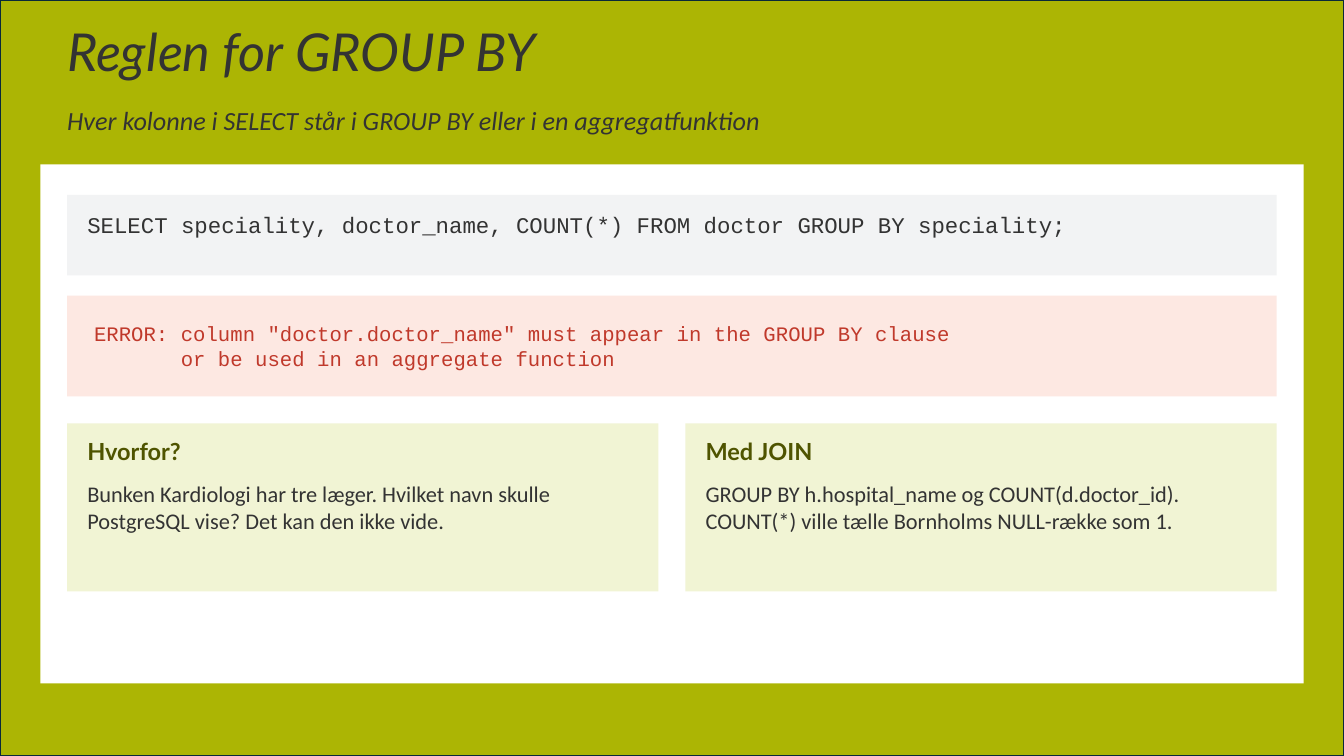
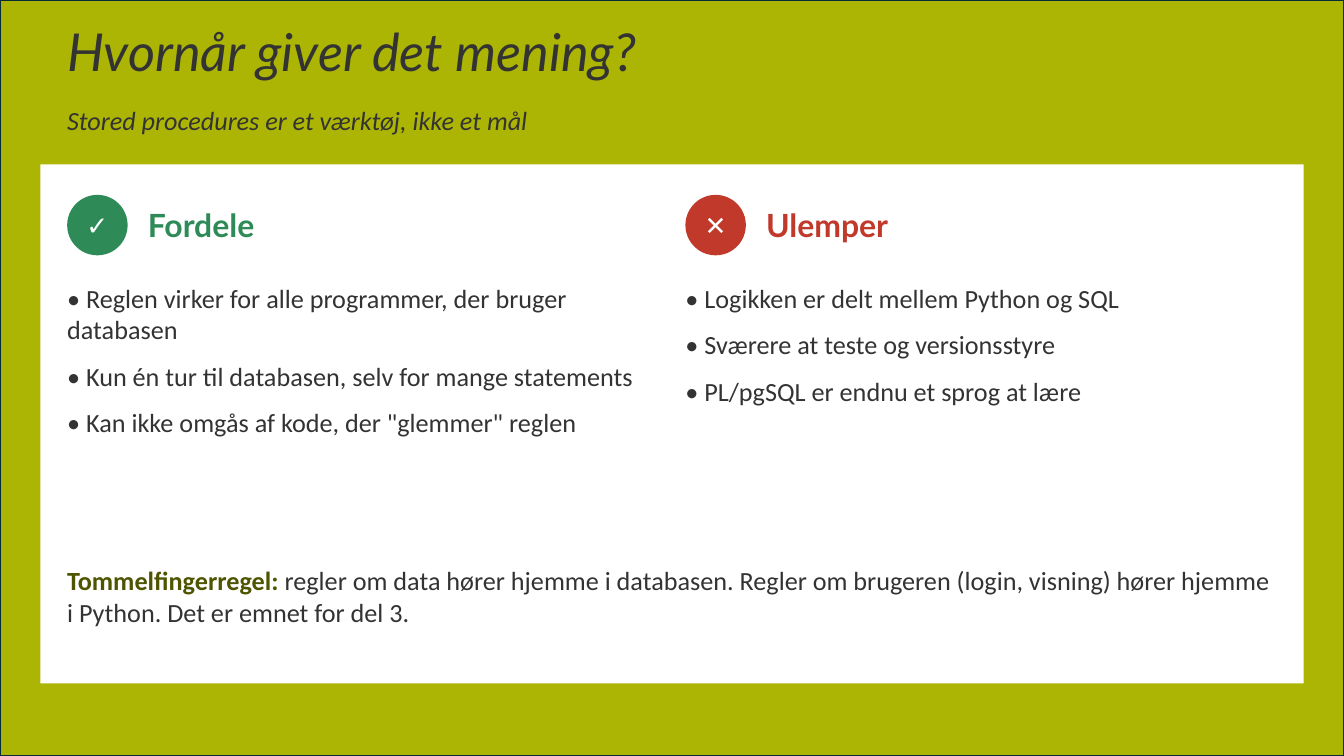
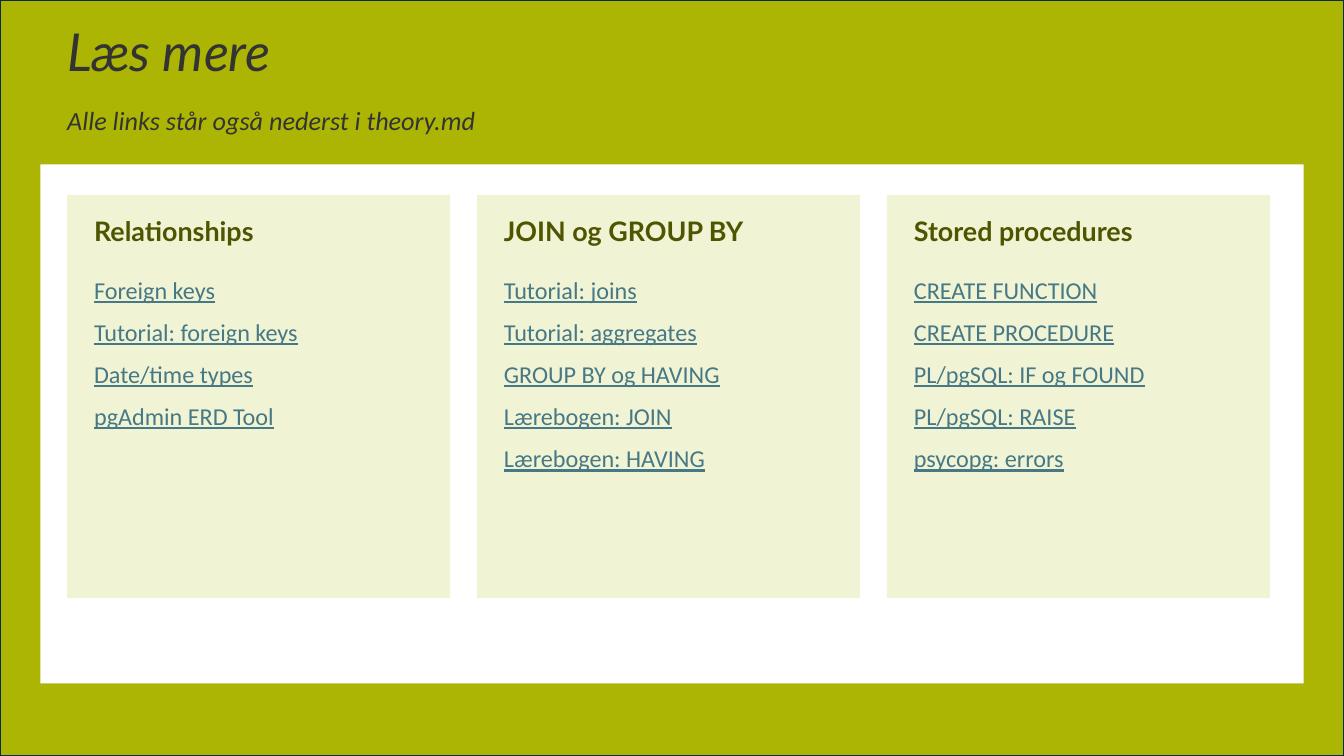
from lxml import etree
from pptx import Presentation
from pptx.dml.color import RGBColor
from pptx.enum.shapes import MSO_SHAPE
from pptx.enum.text import MSO_ANCHOR, MSO_AUTO_SIZE, PP_ALIGN
from pptx.oxml.ns import qn
from pptx.util import Pt

RECTANGLE, OVAL = MSO_SHAPE.RECTANGLE, MSO_SHAPE.OVAL
TOP, MIDDLE = MSO_ANCHOR.TOP, MSO_ANCHOR.MIDDLE
LEFT, CENTER = PP_ALIGN.LEFT, PP_ALIGN.CENTER
NO_AUTOFIT = MSO_AUTO_SIZE.NONE

# Colours
LIME = RGBColor(0xAC, 0xB5, 0x04)
NAVY = RGBColor(0x09, 0x2A, 0x39)
WHITE = RGBColor(0xFF, 0xFF, 0xFF)
INK = RGBColor(0x33, 0x33, 0x33)
OLIVE = RGBColor(0x4F, 0x54, 0x00)
CARD_FILL = RGBColor(0xF1, 0xF4, 0xD4)
CODE_FILL = RGBColor(0xF2, 0xF3, 0xF4)
ERROR_FILL = RGBColor(0xFD, 0xE8, 0xE2)
GREEN = RGBColor(0x2E, 0x8B, 0x57)
RED = RGBColor(0xC0, 0x39, 0x2B)
LINK_BLUE = RGBColor(0x46, 0x78, 0x86)

# Fonts and grid, in points
HEADING_FONT, BODY_FONT, CODE_FONT = "Lato", "Calibri", "Courier New"
BODY_SIZE = 18.7
SLIDE_WIDTH, SLIDE_HEIGHT = 960, 540
MARGIN, CONTENT_TOP, CONTENT_WIDTH, GAP = 48, 139.2, 864, 19.2
HALF_WIDTH = (CONTENT_WIDTH - GAP) / 2
TITLE_ONLY, TWO_CONTENT = 5, 3


def column_left(index, width):
    return MARGIN + index * (width + GAP)


def place(shape, left, top, width, height):
    shape.left, shape.top = Pt(left), Pt(top)
    shape.width, shape.height = Pt(width), Pt(height)


def style_paragraph(paragraph, size, color, font=BODY_FONT, bold=False,
                    italic=False, underline=False, align=LEFT, after=0):
    paragraph.alignment = align
    paragraph.space_before, paragraph.space_after = Pt(0), Pt(after)
    paragraph.font.name, paragraph.font.size = font, Pt(size)
    paragraph.font.color.rgb = color
    paragraph.font.bold, paragraph.font.italic = bold, italic
    paragraph.font.underline = underline


def write(shape, lines, size, color, anchor=TOP, insets=(0, 0), plain=False, **style):
    """Fill a shape with one paragraph per line; plain removes inherited bullets."""
    frame = shape.text_frame
    frame.word_wrap, frame.auto_size = True, NO_AUTOFIT
    frame.vertical_anchor = anchor
    frame.margin_left = frame.margin_right = Pt(insets[0])
    frame.margin_top = frame.margin_bottom = Pt(insets[1])
    for index, line in enumerate(lines):
        paragraph = frame.add_paragraph() if index else frame.paragraphs[0]
        paragraph.add_run().text = line
        if plain:
            properties = paragraph._p.get_or_add_pPr()
            properties.set("marL", "0")
            properties.set("indent", "0")
            etree.SubElement(properties, qn("a:buNone"))
        style_paragraph(paragraph, size, color, **style)


def add_text(slide, box, lines, size, color, **style):
    shape = slide.shapes.add_textbox(*map(Pt, box))
    write(shape, lines, size, color, **style)
    return shape


def add_block(slide, box, fill, kind=RECTANGLE, line=None):
    shape = slide.shapes.add_shape(kind, *map(Pt, box))
    shape.shadow.inherit = False
    shape.fill.solid()
    shape.fill.fore_color.rgb = fill
    if line is None:
        shape.line.fill.background()
    else:
        shape.line.color.rgb, shape.line.width = line, Pt(1.5)
    return shape


def add_card(slide, box, heading, heading_size, inset, heading_offset):
    """Draw a tinted card and its heading; return the text column."""
    left, top, width, height = box
    add_block(slide, box, CARD_FILL)
    text_left, text_width = left + inset, width - 2 * inset
    add_text(slide, (text_left, top + heading_offset, text_width, 30), [heading],
             heading_size, OLIVE, font=HEADING_FONT, bold=True)
    return text_left, text_width


def add_master_frame(presentation, slide):
    """Move the coloured frame and white panel behind everything, on the master."""
    frame = add_block(slide, (0, 0, SLIDE_WIDTH, SLIDE_HEIGHT), LIME, line=NAVY)
    panel = add_block(slide, (28.8, 117.4, 902.4, 370.8), WHITE)
    tree = presentation.slide_master.shapes.element
    for offset, shape in enumerate((frame, panel)):
        shape.element.nvSpPr.cNvPr.set("id", str(101 + offset))
        tree.insert(2 + offset, shape.element)


def start_slide(presentation, layout, title, subtitle):
    slide = presentation.slides.add_slide(presentation.slide_layouts[layout])
    place(slide.shapes.title, MARGIN, 19.2, CONTENT_WIDTH, 52.8)
    write(slide.shapes.title, [title], 37.3, INK, font=HEADING_FONT, italic=True)
    slide.shapes.title.text_frame.paragraphs[0].line_spacing = 0.9
    add_text(slide, (MARGIN, 74.8, CONTENT_WIDTH, 33.6), [subtitle],
             BODY_SIZE, INK, italic=True)
    return slide


def build_group_by(presentation):
    slide = start_slide(presentation, TITLE_ONLY, "Reglen for GROUP BY",
                        "Hver kolonne i SELECT står i GROUP BY eller i en aggregatfunktion")
    add_master_frame(presentation, slide)

    # Query and error message
    query = add_block(slide, (MARGIN, CONTENT_TOP, CONTENT_WIDTH, 57.6), CODE_FILL)
    write(query, ["SELECT speciality, doctor_name, COUNT(*) FROM doctor GROUP BY speciality;"],
          16, INK, font=CODE_FONT, insets=(14.4, 11.5))
    error = add_block(slide, (MARGIN, 211.2, CONTENT_WIDTH, 72), ERROR_FILL)
    write(error, ['ERROR: column "doctor.doctor_name" must appear in the GROUP BY clause',
                  "       or be used in an aggregate function"],
          14.7, RED, font=CODE_FONT, anchor=MIDDLE, insets=(19.2, 0))

    # Explanations
    explanations = [
        ("Hvorfor?", "Bunken Kardiologi har tre læger. Hvilket navn skulle "
                     "PostgreSQL vise? Det kan den ikke vide."),
        ("Med JOIN", "GROUP BY h.hospital_name og COUNT(d.doctor_id). "
                     "COUNT(*) ville tælle Bornholms NULL-række som 1."),
    ]
    top = 302.4
    for index, (heading, text) in enumerate(explanations):
        box = (column_left(index, HALF_WIDTH), top, HALF_WIDTH, 120)
        left, width = add_card(slide, box, heading, 16.8, 14.4, 9.6)
        add_text(slide, (left, top + 40.4, width, 74), [text], 16, INK)


def build_pros_and_cons(presentation):
    slide = start_slide(presentation, TWO_CONTENT, "Hvornår giver det mening?",
                        "Stored procedures er et værktøj, ikke et mål")
    sides = [
        ("✓", "Fordele", GREEN,
         ["Reglen virker for alle programmer, der bruger databasen",
          "Kun én tur til databasen, selv for mange statements",
          'Kan ikke omgås af kode, der "glemmer" reglen']),
        ("✕", "Ulemper", RED,
         ["Logikken er delt mellem Python og SQL",
          "Sværere at teste og versionsstyre",
          "PL/pgSQL er endnu et sprog at lære"]),
    ]
    badge_size, heading_offset = 43.2, 57.6
    for index, (mark, heading, color, points) in enumerate(sides):
        left = column_left(index, HALF_WIDTH)
        badge = add_block(slide, (left, CONTENT_TOP, badge_size, badge_size), color, OVAL)
        write(badge, [mark], BODY_SIZE, WHITE, anchor=MIDDLE, bold=True, align=CENTER)
        add_text(slide, (left + heading_offset, CONTENT_TOP,
                         HALF_WIDTH - heading_offset, badge_size),
                 [heading], 22.8, color, font=HEADING_FONT, bold=True, anchor=MIDDLE)
        body = slide.placeholders[index + 1]
        place(body, left, 201.6, HALF_WIDTH, 172.8)
        write(body, [f"• {point}" for point in points], BODY_SIZE, INK,
              plain=True, after=10.7)

    # Rule of thumb
    rule = add_text(slide, (MARGIN, 403.2, CONTENT_WIDTH, 76.8),
                    ["Tommelfingerregel: "], BODY_SIZE, INK)
    paragraph = rule.text_frame.paragraphs[0]
    label = paragraph.runs[0]
    label.font.bold, label.font.color.rgb = True, OLIVE
    paragraph.add_run().text = ("regler om data hører hjemme i databasen. Regler om brugeren "
                                "(login, visning) hører hjemme i Python. "
                                "Det er emnet for del 3.")


def build_reading_list(presentation):
    slide = start_slide(presentation, TITLE_ONLY, "Læs mere",
                        "Alle links står også nederst i theory.md")
    topics = [
        ("Relationships", ["Foreign keys", "Tutorial: foreign keys",
                           "Date/time types", "pgAdmin ERD Tool"]),
        ("JOIN og GROUP BY", ["Tutorial: joins", "Tutorial: aggregates",
                              "GROUP BY og HAVING", "Lærebogen: JOIN",
                              "Lærebogen: HAVING"]),
        ("Stored procedures", ["CREATE FUNCTION", "CREATE PROCEDURE",
                               "PL/pgSQL: IF og FOUND", "PL/pgSQL: RAISE",
                               "psycopg: errors"]),
    ]
    card_width = 273.6
    for index, (heading, links) in enumerate(topics):
        box = (column_left(index, card_width), CONTENT_TOP, card_width, 288)
        left, width = add_card(slide, box, heading, 19.2, 19.2, 14.4)
        add_text(slide, (left, CONTENT_TOP + 57.6, width, 288), links, 17.3,
                 LINK_BLUE, underline=True, after=9.3)


def main():
    presentation = Presentation()
    presentation.slide_width, presentation.slide_height = Pt(SLIDE_WIDTH), Pt(SLIDE_HEIGHT)
    build_group_by(presentation)
    build_pros_and_cons(presentation)
    build_reading_list(presentation)
    presentation.save("out.pptx")


if __name__ == "__main__":
    main()
